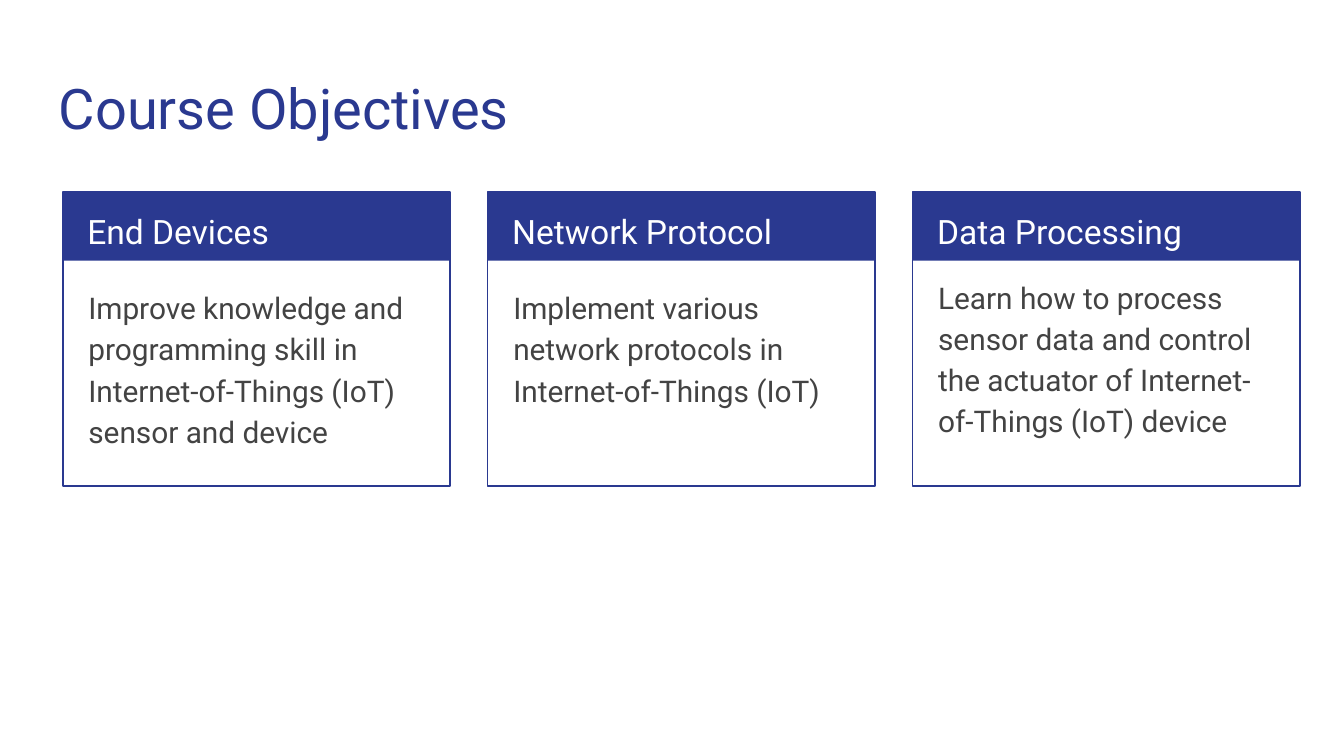
from dataclasses import dataclass

from pptx import Presentation
from pptx.dml.color import RGBColor
from pptx.enum.shapes import MSO_SHAPE
from pptx.enum.text import MSO_ANCHOR, MSO_AUTO_SIZE, PP_ALIGN
from pptx.oxml.ns import qn
from pptx.shapes.autoshape import Shape
from pptx.slide import Slide
from pptx.util import Cm, Pt


@dataclass(frozen=True)
class Theme:
    font: str = "Roboto"
    navy: RGBColor = RGBColor(0x2A, 0x39, 0x90)
    white: RGBColor = RGBColor(0xFF, 0xFF, 0xFF)
    grey: RGBColor = RGBColor(0x43, 0x43, 0x43)
    title_size: int = 30
    heading_size: int = 18
    body_size: int = 16


@dataclass(frozen=True)
class Box:
    left: float
    top: float
    width: float
    height: float

    def lengths(self) -> tuple[Cm, Cm, Cm, Cm]:
        return Cm(self.left), Cm(self.top), Cm(self.width), Cm(self.height)


@dataclass(frozen=True)
class Card:
    heading: str
    body: str
    body_top: float = 5.13


THEME = Theme()

# Card grid, in centimetres
LEFT, TOP, PITCH = 1.19, 3.63, 8.03
WIDTH, HEIGHT, BAR_HEIGHT = 7.32, 5.56, 1.3
INSET = 0.25

CARDS = [
    Card("End Devices",
         "Improve knowledge and programming skill in Internet-of-Things (IoT) sensor and device"),
    Card("Network Protocol",
         "Implement various network protocols in Internet-of-Things (IoT)"),
    Card("Data Processing",
         "Learn how to process sensor data and control the actuator of Internet-of-Things (IoT) device",
         body_top=4.93),
]


def place(sp: Shape, box: Box) -> None:
    sp.left, sp.top, sp.width, sp.height = box.lengths()


def write(sp: Shape, text: str, size: int, color: RGBColor,
          spacing: float = 1.0, after: int = 0) -> None:
    """Set one plain, top-left paragraph without a bullet."""
    tf = sp.text_frame
    tf.word_wrap = True
    tf.auto_size = MSO_AUTO_SIZE.NONE
    tf.vertical_anchor = MSO_ANCHOR.TOP
    tf.margin_left = tf.margin_right = tf.margin_top = tf.margin_bottom = Cm(INSET)
    p = tf.paragraphs[0]
    p.alignment = PP_ALIGN.LEFT
    p.line_spacing = spacing
    p.space_before, p.space_after = Pt(0), Pt(after)
    pPr = p._p.get_or_add_pPr()
    pPr.set("marL", "0")
    pPr.set("indent", "0")
    pPr.append(pPr.makeelement(qn("a:buNone"), {}))
    r = p.add_run()
    r.text = text
    r.font.name, r.font.size, r.font.bold = THEME.font, Pt(size), False
    r.font.color.rgb = color


def add_rect(s: Slide, box: Box, filled: bool) -> None:
    sp = s.shapes.add_shape(MSO_SHAPE.RECTANGLE, *box.lengths())
    sp.shadow.inherit = False
    if filled:
        sp.fill.solid()
        sp.fill.fore_color.rgb = THEME.navy
        sp.line.fill.background()
    else:
        sp.fill.background()
        sp.line.color.rgb = THEME.navy
        sp.line.width = Pt(0.75)


def draw_card(s: Slide, card: Card, left: float, body: Shape) -> None:
    # Header bar and frame
    add_rect(s, Box(left, TOP, WIDTH, BAR_HEIGHT), filled=True)
    add_rect(s, Box(left, TOP, WIDTH, HEIGHT), filled=False)
    # Heading and text
    heading = s.shapes.add_textbox(*Box(left + 0.21, TOP, 6.93, 1.27).lengths())
    write(heading, card.heading, THEME.heading_size, THEME.white, spacing=1.15)
    place(body, Box(left + 0.23, card.body_top, 6.88, 3.89))
    write(body, card.body, THEME.body_size, THEME.grey, spacing=1.15, after=16)


def main() -> None:
    prs = Presentation()
    prs.slide_width, prs.slide_height = Cm(25.4), Cm(14.29)
    # The comparison layout has a title and four text placeholders
    s = prs.slides.add_slide(prs.slide_layouts[4])

    # Title
    title = s.shapes.title
    place(title, Box(0.86, 1.14, 23.67, 1.68))
    write(title, "Course Objectives", THEME.title_size, THEME.navy)

    # Cards, one text placeholder each
    bodies = [ph for ph in s.placeholders if ph.placeholder_format.idx > 0]
    for i, (card, body) in enumerate(zip(CARDS, bodies)):
        draw_card(s, card, LEFT + i * PITCH, body)

    # Unused placeholders
    for ph in bodies[len(CARDS):]:
        ph._element.getparent().remove(ph._element)

    prs.save("out.pptx")


if __name__ == "__main__":
    main()
